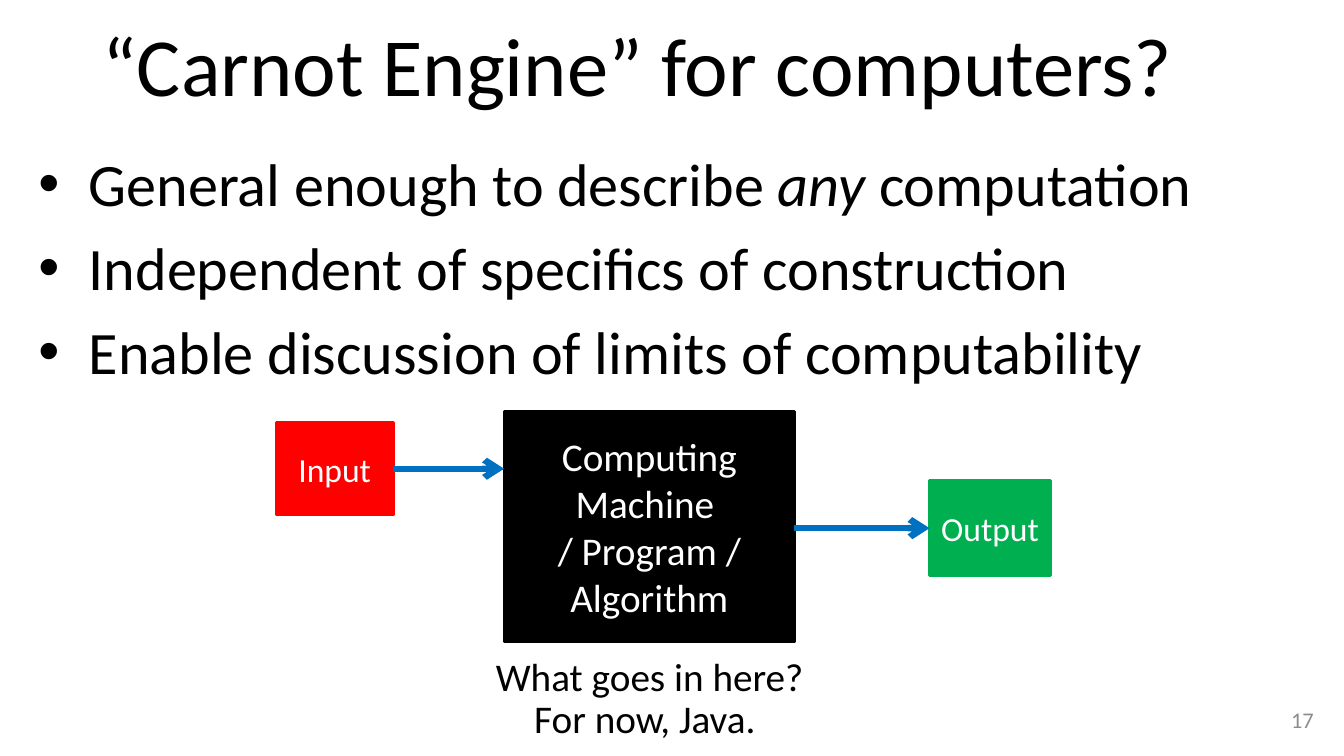
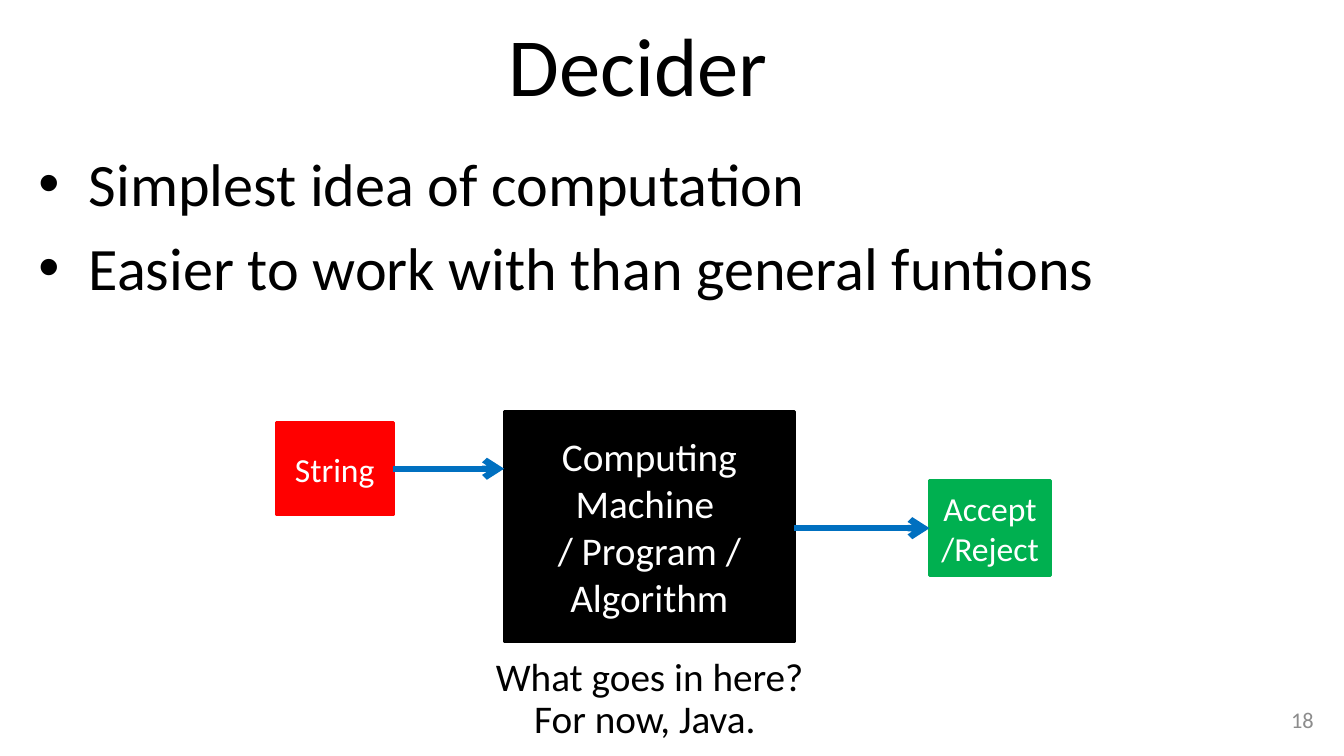
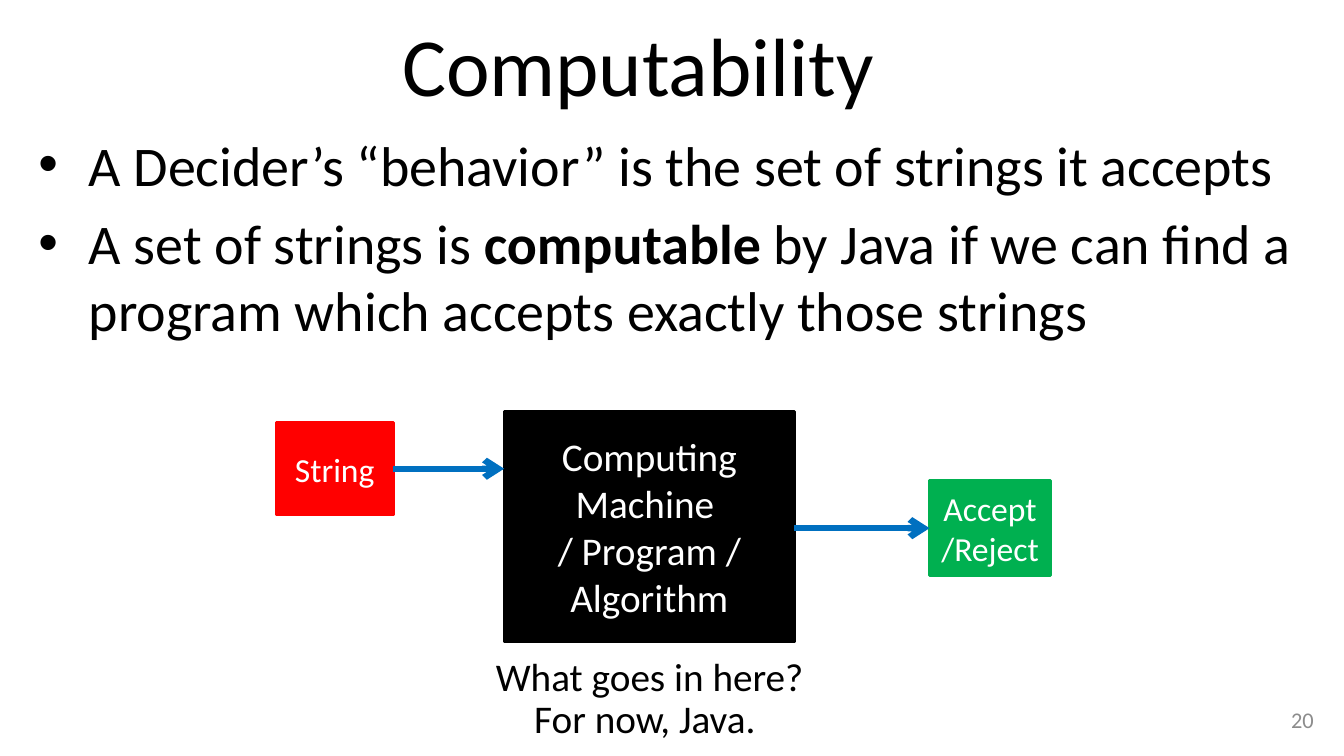
"""Builds three slides on deciders and computability."""
import pptx
import pptx.util
import pptx.dml.color
import pptx.enum.shapes
import pptx.enum.text
import pptx.oxml.ns
import lxml.etree

Inches = pptx.util.Inches
Pt = pptx.util.Pt
ALIGN = pptx.enum.text.PP_ALIGN
ANCHOR = pptx.enum.text.MSO_ANCHOR

FONT = "Calibri"
BLACK, WHITE, GRAY = "000000", "FFFFFF", "8C8C8C"
RED, GREEN, BLUE = "FF0000", "00B050", "0070C0"

TITLE_AREA = (0.5, 0, 11.66, 1.25)
NUMBER_AREA = (10.83, 6.94, 2.33, 0.4)
MACHINE_AREA = (5, 4.08, 2.88, 2.29)
INPUT_AREA = (2.74, 4.19, 1.16, 0.92)
OUTPUT_AREA = (9.22, 4.77, 1.2, 0.94)
WIDE_INSETS = (0.13, 0.07)
BOX_INSETS = (0.1, 0.05)

MACHINE_LINES = ["Computing Machine ", "/ Program / Algorithm"]
CAPTIONS = [
    ("What goes in here?", (4.82, 6.42, 3.38, 0.57)),
    ("For now, Java.", (5.2, 6.84, 3.38, 0.57)),
]

SLIDES = [
    {
        "title": "“Carnot Engine” for computers?",
        "bullets": [
            [("General enough to describe ", ""), ("any", "italic"), (" computation", "")],
            [("Independent of specifics of construction", "")],
            [("Enable discussion of limits of computability", "")],
        ],
        "area": (0.25, 1.38, 12.41, 4.95),
        "size": 43,
        "number": "17",
        "ends": ("Input", "Output"),
    },
    {
        "title": "Decider",
        "bullets": [
            [("Simplest idea of computation", "")],
            [("Easier to work with than general funtions", "")],
        ],
        "area": (0.25, 1.38, 12.41, 4.95),
        "size": 43,
        "number": "18",
        "ends": ("String", "Accept/Reject"),
    },
    {
        "title": "Computability",
        "bullets": [
            [("A Decider’s “behavior” is the set of strings it accepts", "")],
            [("A set of strings is ", ""), ("computable", "bold"),
             (" by Java if we can find a program which accepts exactly those strings", "")],
        ],
        "area": (0.25, 1.22, 12.75, 4.95),
        "size": 40,
        "number": "20",
        "ends": ("String", "Accept/Reject"),
    },
]


def color(value):
    return pptx.dml.color.RGBColor.from_string(value)


def place(shape, area):
    shape.left, shape.top, shape.width, shape.height = map(Inches, area)


def format_text(frame, size, ink, align, anchor, insets=BOX_INSETS):
    frame.word_wrap = True
    frame.auto_size = pptx.enum.text.MSO_AUTO_SIZE.NONE
    frame.vertical_anchor = anchor
    frame.margin_left = frame.margin_right = Inches(insets[0])
    frame.margin_top = frame.margin_bottom = Inches(insets[1])
    for para in frame.paragraphs:
        para.alignment = align
        for span in para.runs:
            span.font.name = FONT
            span.font.size = Pt(size)
            span.font.color.rgb = color(ink)


def add_title(slide, text):
    title = slide.shapes.title
    place(title, TITLE_AREA)
    title.text_frame.text = text
    format_text(title.text_frame, 59, BLACK, ALIGN.CENTER, ANCHOR.MIDDLE, WIDE_INSETS)


def add_bullets(slide, bullets, area, size):
    body = slide.placeholders[1]
    place(body, area)
    frame = body.text_frame
    for index, spans in enumerate(bullets):
        para = frame.add_paragraph() if index else frame.paragraphs[0]
        properties = para._p.get_or_add_pPr()
        properties.set("marL", str(Inches(0.5)))
        properties.set("indent", str(Inches(-0.5)))
        for text, style in spans:
            span = para.add_run()
            span.text = text
            if style:
                setattr(span.font, style, True)
    format_text(frame, size, BLACK, ALIGN.LEFT, ANCHOR.TOP, WIDE_INSETS)


def add_label(slide, text, area, size, ink, align, anchor, insets=BOX_INSETS):
    label = slide.shapes.add_textbox(*map(Inches, area))
    label.text_frame.text = text
    format_text(label.text_frame, size, ink, align, anchor, insets)


def add_box(slide, text, area, fill, size):
    box = slide.shapes.add_shape(pptx.enum.shapes.MSO_SHAPE.RECTANGLE, *map(Inches, area))
    box.shadow.inherit = False
    box.fill.solid()
    box.fill.fore_color.rgb = color(fill)
    box.line.color.rgb = color(fill)
    box.line.width = Pt(2)
    box.text_frame.text = text
    format_text(box.text_frame, size, WHITE, ALIGN.CENTER, ANCHOR.MIDDLE)


def add_arrow(slide, start, end, y):
    arrow = slide.shapes.add_connector(
        pptx.enum.shapes.MSO_CONNECTOR.STRAIGHT, Inches(start), Inches(y), Inches(end), Inches(y))
    arrow.line.color.rgb = color(BLUE)
    arrow.line.width = Pt(4.5)
    qualify = pptx.oxml.ns.qn
    lxml.etree.SubElement(arrow.line._get_or_add_ln(), qualify("a:tailEnd"), type="arrow")
    lxml.etree.SubElement(arrow._element.spPr, qualify("a:effectLst"))


def add_machine(slide, ends):
    add_box(slide, "\n".join(MACHINE_LINES), MACHINE_AREA, BLACK, 28)
    for text, area, fill in zip(ends, (INPUT_AREA, OUTPUT_AREA), (RED, GREEN)):
        add_box(slide, text, area, fill, 24)
    for source, target, level in (
        (INPUT_AREA, MACHINE_AREA, INPUT_AREA),
        (MACHINE_AREA, OUTPUT_AREA, OUTPUT_AREA),
    ):
        add_arrow(slide, source[0] + source[2], target[0], level[1] + level[3] / 2)
    for text, area in CAPTIONS:
        add_label(slide, text, area, 28, BLACK, ALIGN.LEFT, ANCHOR.TOP)


def main():
    deck = pptx.Presentation()
    deck.slide_width, deck.slide_height = Inches(13.33), Inches(7.5)
    for content in SLIDES:
        slide = deck.slides.add_slide(deck.slide_layouts[1])
        add_title(slide, content["title"])
        add_bullets(slide, content["bullets"], content["area"], content["size"])
        add_label(slide, content["number"], NUMBER_AREA, 16, GRAY,
                  ALIGN.RIGHT, ANCHOR.MIDDLE, WIDE_INSETS)
        add_machine(slide, content["ends"])
    deck.save("out.pptx")


if __name__ == "__main__":
    main()
